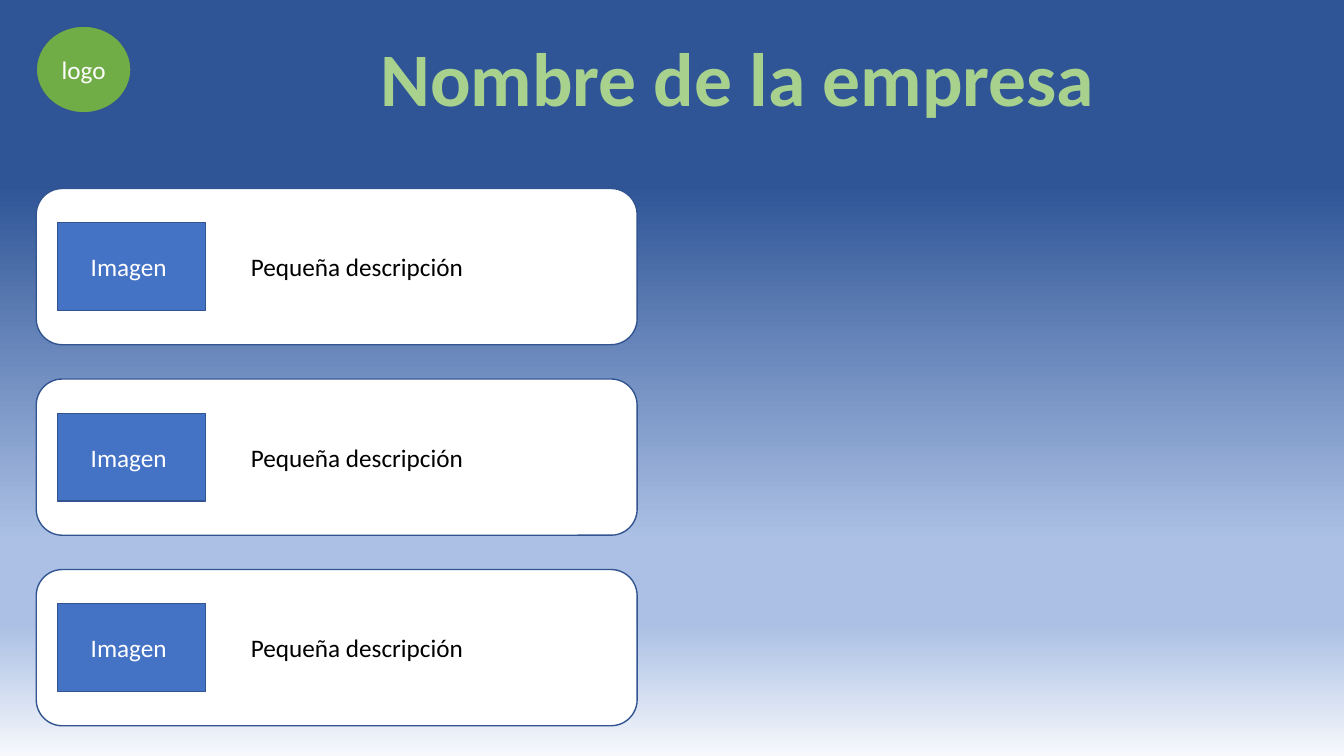
from lxml import etree
from pptx import Presentation
from pptx.dml.color import RGBColor
from pptx.enum.shapes import MSO_SHAPE
from pptx.enum.text import MSO_ANCHOR, MSO_AUTO_SIZE, PP_ALIGN
from pptx.oxml.ns import qn
from pptx.util import Inches, Pt

NAVY = RGBColor(0x2F, 0x55, 0x97)
OUTLINE = RGBColor(0x32, 0x54, 0x91)
BLUE = RGBColor(0x44, 0x72, 0xC4)
SKY = RGBColor(0xAB, 0xC0, 0xE4)
MIST = RGBColor(0xF6, 0xF8, 0xFC)
GREEN = RGBColor(0x70, 0xAD, 0x47)
LIGHT_GREEN = RGBColor(0xA9, 0xD1, 0x8E)
DARK_GREEN = RGBColor(0x38, 0x57, 0x23)
WHITE = RGBColor(0xFF, 0xFF, 0xFF)
BLACK = RGBColor(0x00, 0x00, 0x00)

FONT = "Calibri"
SLIDE_W, SLIDE_H = 13.33, 7.5
HEADER_H = 1.83
CARD_W, CARD_H, CARD_PITCH = 5.96, 1.55, 1.89
CARDS = [("Imagen ", "Pequeña descripción ")] * 3


def write(frame, text, color, size=18, align=PP_ALIGN.CENTER, anchor=MSO_ANCHOR.MIDDLE):
    frame.vertical_anchor = anchor
    paragraph = frame.paragraphs[0]
    paragraph.alignment = align
    run = paragraph.add_run()
    run.text = text
    run.font.name = FONT
    run.font.size = Pt(size)
    run.font.color.rgb = color
    return run


def add_box(slide, kind, box, fill, line=OUTLINE, text=None):
    shape = slide.shapes.add_shape(kind, *map(Inches, box))
    shape.shadow.inherit = False
    shape.fill.solid()
    shape.fill.fore_color.rgb = fill
    shape.line.color.rgb = line
    shape.line.width = Pt(1)
    if text:
        write(shape.text_frame, text, WHITE)
    return shape


def add_solid(parent, color):
    solid = etree.SubElement(parent, qn("a:solidFill"))
    etree.SubElement(solid, qn("a:srgbClr"), val=str(color))


def add_backdrop(slide, box):
    backdrop = add_box(slide, MSO_SHAPE.RECTANGLE, box, NAVY)
    backdrop.line.fill.background()
    backdrop.fill.gradient()
    backdrop.fill.gradient_angle = 90
    stops = backdrop._element.spPr.find(qn("a:gradFill")).find(qn("a:gsLst"))
    for stop in list(stops):
        stops.remove(stop)
    for percent, color in [(0, MIST), (23, SKY), (38, SKY), (100, NAVY)]:
        stop = etree.SubElement(stops, qn("a:gs"), pos=str(percent * 1000))
        etree.SubElement(stop, qn("a:srgbClr"), val=str(color))


def add_header(slide, box):
    left, top, width, height = box
    add_box(slide, MSO_SHAPE.RECTANGLE, box, NAVY, NAVY)
    add_box(slide, MSO_SHAPE.OVAL, (left + 0.36, top + 0.26, 0.94, 0.86), GREEN, text="logo")
    title = slide.shapes.title
    title.left, title.top, title.width, title.height = map(
        Inches, (left + 3.64, top + 0.26, 7.35, 1.01))
    title.text_frame.word_wrap = False
    title.text_frame.auto_size = MSO_AUTO_SIZE.SHAPE_TO_FIT_TEXT
    run = write(title.text_frame, "Nombre de la empresa", LIGHT_GREEN, 54, anchor=MSO_ANCHOR.TOP)
    run.font.bold = True
    outline = etree.Element(qn("a:ln"), w=str(Pt(1)))
    add_solid(outline, DARK_GREEN)
    run.font._element.insert(0, outline)
    slide.shapes._spTree.append(title._element)


def add_card(slide, box, image_label, description):
    left, top, width, height = box
    add_box(slide, MSO_SHAPE.ROUNDED_RECTANGLE, box, WHITE)
    image_h, text_h = 0.87, 0.4
    add_box(slide, MSO_SHAPE.RECTANGLE,
            (left + 0.21, top + (height - image_h) / 2, 1.47, image_h), BLUE, text=image_label)
    caption = slide.shapes.add_textbox(*map(
        Inches, (left + 2.03, top + (height - text_h) / 2, 3.48, text_h)))
    caption.text_frame.word_wrap = True
    caption.text_frame.auto_size = MSO_AUTO_SIZE.SHAPE_TO_FIT_TEXT
    write(caption.text_frame, description, BLACK, align=PP_ALIGN.LEFT, anchor=MSO_ANCHOR.TOP)


def build_company_slide(prs):
    slide = prs.slides.add_slide(prs.slide_layouts[5])
    add_backdrop(slide, (0, HEADER_H, SLIDE_W, SLIDE_H - HEADER_H))
    add_header(slide, (0, 0, SLIDE_W, HEADER_H))
    for row, (image_label, description) in enumerate(CARDS):
        add_card(slide, (0.36, 1.87 + row * CARD_PITCH, CARD_W, CARD_H), image_label, description)


prs = Presentation()
prs.slide_width, prs.slide_height = Inches(SLIDE_W), Inches(SLIDE_H)
build_company_slide(prs)
prs.save("out.pptx")
